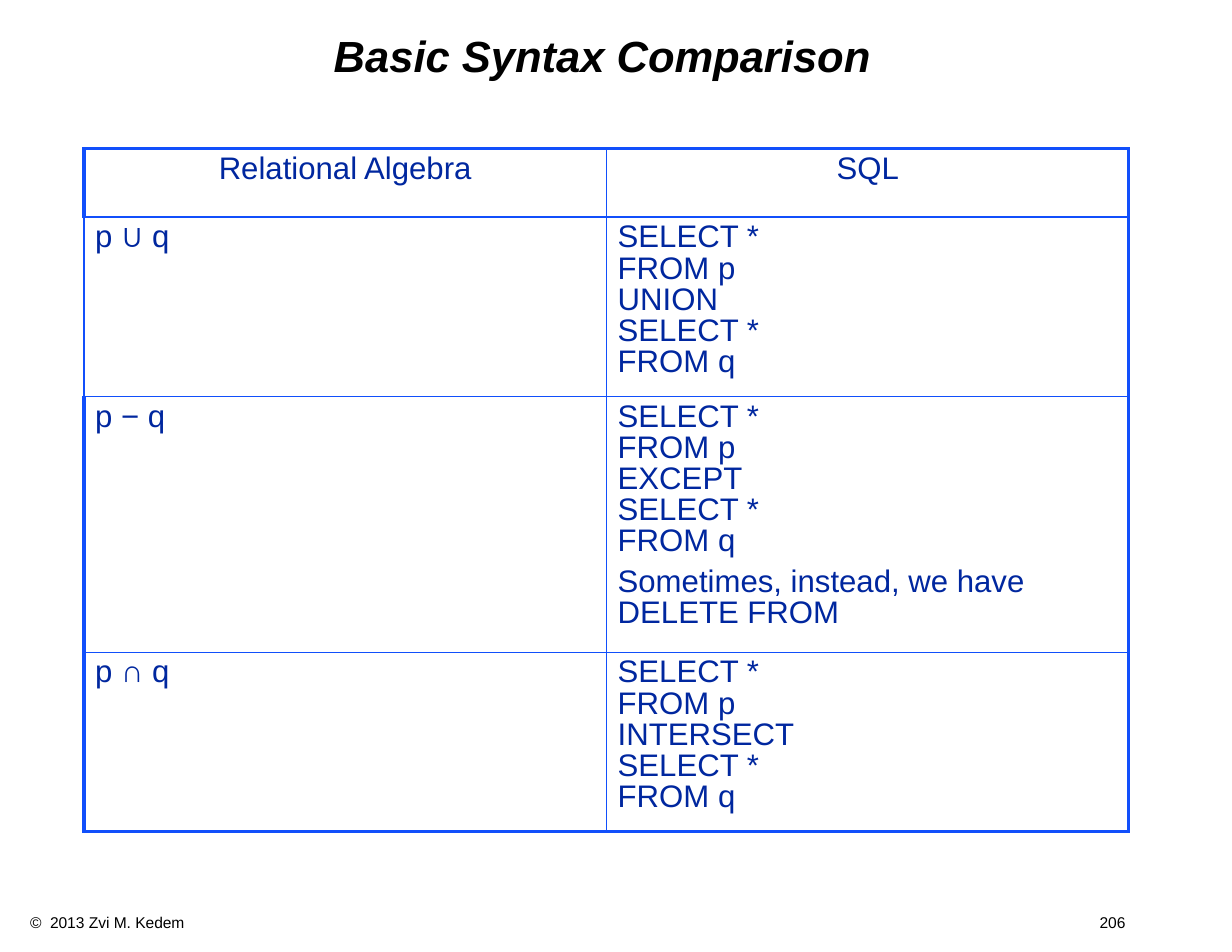
from lxml.etree import SubElement
from pptx import Presentation
from pptx.dml.color import RGBColor
from pptx.enum.text import MSO_ANCHOR as Anchor, PP_ALIGN as Align
from pptx.oxml import parse_xml
from pptx.oxml.ns import nsdecls, qn
from pptx.util import Inches, Pt


def color(hex_code):
    return RGBColor.from_string(hex_code)


def query(operator):
    return f"SELECT *\nFROM p\n{operator}\nSELECT *\nFROM q"


class Deck:
    font, ink, text_blue, rule_blue = "Arial", "000000", "00279F", "114FFB"
    outer, header_rule, inner = 2.25, 1.5, 1

    def __init__(self, width, height):
        self.prs = Presentation()
        self.prs.slide_width, self.prs.slide_height = Inches(width), Inches(height)
        self.slide = self.prs.slides.add_slide(self.prs.slide_layouts[5])

    def set_text(self, paragraph, text, size, hex_code, align=Align.LEFT, spacing=0.9):
        paragraph.text = text
        paragraph.alignment = align
        paragraph.line_spacing = spacing
        font = paragraph.font
        font.name, font.size = self.font, Pt(size)
        font.color.rgb = color(hex_code)
        return font

    def title(self, text, left, top, width, height):
        heading = self.slide.shapes.title
        heading.left, heading.top = Inches(left), Inches(top)
        heading.width, heading.height = Inches(width), Inches(height)
        frame = heading.text_frame
        frame.vertical_anchor = Anchor.TOP
        frame.margin_top = frame.margin_bottom = Inches(0.06)
        font = self.set_text(frame.paragraphs[0], text, 28, self.ink, Align.CENTER)
        font.bold = font.italic = True

    def footer(self, notice, page, left, top, width, height, page_tab):
        box = self.slide.shapes.add_textbox(
            Inches(left), Inches(top), Inches(width), Inches(height))
        box.text_frame.word_wrap = True
        line = box.text_frame.paragraphs[0]
        self.set_text(line, f"{notice}\t{page}", 10, self.ink, spacing=1.0)
        # Right-aligned tab stop for the page number
        tabs = parse_xml(f'<a:tabLst {nsdecls("a")}>'
                         f'<a:tab pos="{Inches(page_tab)}" algn="r"/></a:tabLst>')
        properties = line._p.get_or_add_pPr()
        properties.find(qn("a:defRPr")).addprevious(tabs)

    def borders(self, cell, widths):
        properties = cell._tc.get_or_add_tcPr()
        for place, (side, points) in enumerate(zip("LRTB", widths)):
            line = parse_xml(f'<a:ln{side} {nsdecls("a")} w="{Pt(points)}"/>')
            fill = SubElement(line, qn("a:solidFill"))
            SubElement(fill, qn("a:srgbClr"), val=self.rule_blue)
            properties.insert(place, line)

    def table(self, rows, heights, left, top, width):
        last_row, last_column = len(rows) - 1, len(rows[0]) - 1
        grid = self.slide.shapes.add_table(
            len(rows), len(rows[0]), Inches(left), Inches(top),
            Inches(width), Inches(sum(heights))).table
        grid.first_row = grid.horz_banding = False
        for r, (row, height) in enumerate(zip(rows, heights)):
            grid.rows[r].height = Inches(height)
            for c, paragraphs in enumerate(row):
                cell = grid.cell(r, c)
                cell.fill.background()
                frame = cell.text_frame
                for i, text in enumerate(paragraphs):
                    paragraph = frame.add_paragraph() if i else frame.paragraphs[0]
                    self.set_text(paragraph, text, 20, self.text_blue,
                                  Align.LEFT if r else Align.CENTER)
                    if i:
                        paragraph.space_before = Pt(6)
                # The first row below the header has a thinner left edge
                edge = self.header_rule if r == 1 else self.outer
                self.borders(cell, (
                    self.inner if c else edge,
                    self.outer if c == last_column else self.inner,
                    {0: self.outer, 1: self.header_rule}.get(r, self.inner),
                    {0: self.header_rule, last_row: self.outer}.get(r, self.inner)))


def main():
    deck = Deck(11, 8.5)

    # Footer and title
    deck.footer("©  2013 Zvi M. Kedem", "206", 0.17, 8.1, 10.34, 0.27, page_tab=9.78)
    deck.title("Basic Syntax Comparison", 0.75, 0.25, 9.25, 0.92)

    # Relational algebra beside SQL, each cell a list of paragraphs
    comparison = [
        (["Relational Algebra"], ["SQL"]),
        (["p ∪ q"], [query("UNION")]),
        (["p − q"], [query("EXCEPT"), "Sometimes, instead, we have DELETE FROM"]),
        (["p ∩ q"], [query("INTERSECT")]),
    ]
    deck.table(comparison, (0.61, 1.49, 2.13, 1.49), 0.75, 1.33, 9.33)

    deck.prs.save("out.pptx")


if __name__ == "__main__":
    main()
